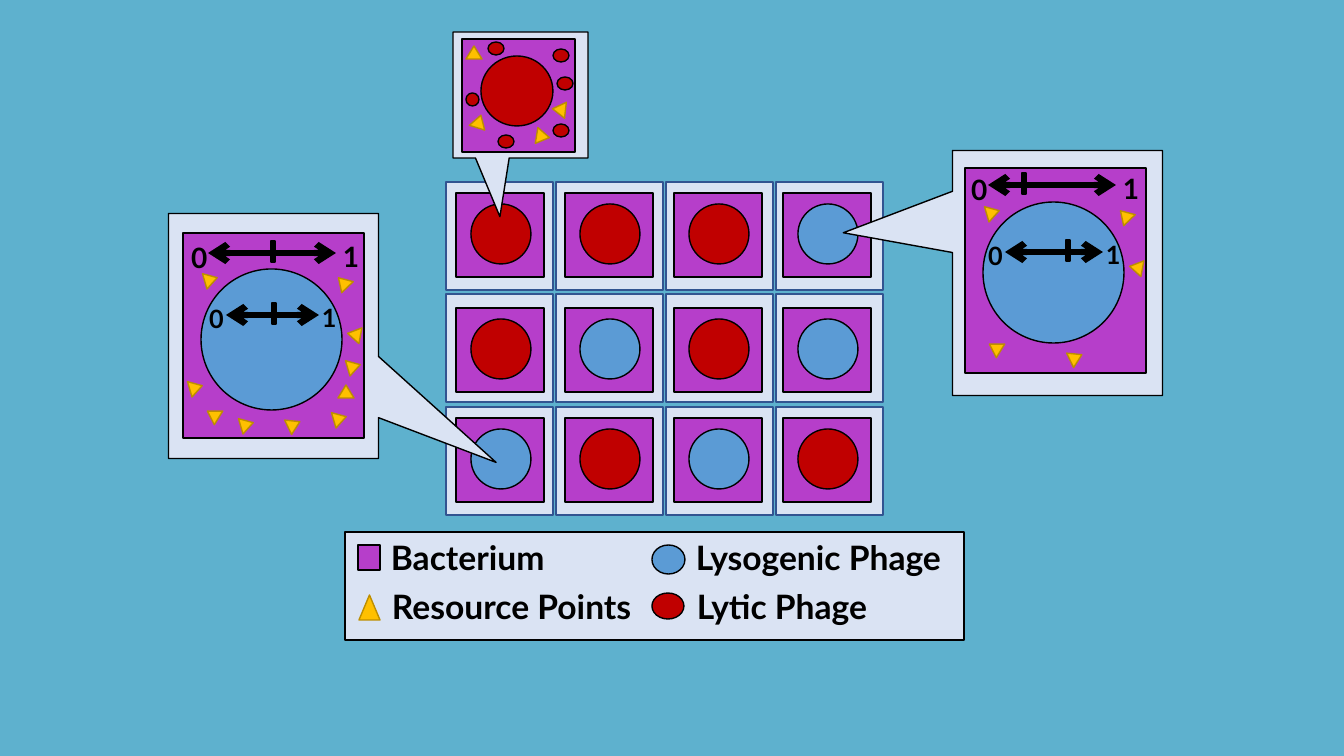
"""Build a slide of bacteria on a grid with lytic and lysogenic phages."""
from lxml import etree
from pptx import Presentation
from pptx.dml.color import RGBColor
from pptx.enum.shapes import MSO_CONNECTOR, MSO_SHAPE as Preset
from pptx.enum.text import MSO_AUTO_SIZE
from pptx.oxml.ns import qn
from pptx.util import Emu, Pt

SCALE = 12192000 / 1344
COLORS = {"background": "5EB1CE", "panel": "DAE3F3", "cell_edge": "325491",
          "bacterium": "B63ECA", "lysogenic": "5B9BD5", "lytic": "C00000",
          "resource": "FFC000", "resource_edge": "BD8E00", "ink": "000000"}
BOX, DISC = Preset.RECTANGLE, Preset.FLOWCHART_CONNECTOR
TRIANGLE, CALLOUT = Preset.ISOSCELES_TRIANGLE, Preset.RECTANGULAR_CALLOUT

deck = Presentation()
deck.slide_width, deck.slide_height = Emu(12192000), Emu(6858000)
slide = deck.slides.add_slide(deck.slide_layouts[6])
slide.background.fill.solid()
slide.background.fill.fore_color.rgb = RGBColor.from_string(COLORS["background"])


def add_part(preset, bounds, fill, edge="ink", rotation=0, pointer=()):
    part = slide.shapes.add_shape(preset, *(Emu(round(v * SCALE)) for v in bounds))
    part.shadow.inherit = False
    part.fill.solid()
    part.fill.fore_color.rgb = RGBColor.from_string(COLORS[fill])
    part.line.color.rgb = RGBColor.from_string(COLORS[edge])
    part.line.width = Pt(1)
    part.rotation = rotation
    for index, value in enumerate(pointer):
        part.adjustments[index] = value


def add_label(text, bounds, size):
    label = slide.shapes.add_textbox(*(Emu(round(v * SCALE)) for v in bounds))
    frame = label.text_frame
    frame.word_wrap = True
    frame.auto_size = MSO_AUTO_SIZE.SHAPE_TO_FIT_TEXT
    paragraph = frame.paragraphs[0]
    paragraph.text = text
    paragraph.font.name = "Lato"
    paragraph.font.size = Pt(size)
    paragraph.font.bold = True
    paragraph.font.color.rgb = RGBColor.from_string(COLORS["ink"])


phage_grid = [
    ["lytic", "lytic", "lytic", "lysogenic"],
    ["lytic", "lysogenic", "lytic", "lysogenic"],
    ["lysogenic", "lytic", "lysogenic", "lytic"],
]
bacterium_tops = [193, 308, 418]
for row, phages in enumerate(phage_grid):
    for column, phage in enumerate(phages):
        cell_left, cell_top = 446 + 110 * column, 182 + 225 * row // 2
        left, top = 456 + 109 * column, bacterium_tops[row]
        add_part(BOX, (cell_left, cell_top, 107, 108), "panel", "cell_edge")
        add_part(BOX, (left, top, 88, 84), "bacterium")
        add_part(DISC, (left + 15, top + 11, 60, 60), phage)

add_part(CALLOUT, (453, 32, 135, 126), "panel", pointer=(-0.152, 0.966))
add_part(BOX, (462, 39, 113, 113), "bacterium")
add_part(DISC, (481, 56, 72, 70), "lytic")
for left, top, width in [(488, 42, 16), (553, 49, 16), (553, 124, 16), (498, 135, 16),
                         (557, 77, 16), (466, 93, 13)]:
    add_part(DISC, (left, top, width, 13), "lytic")
for left, top, turn in [(466, 46, 0), (471, 115, 17.3), (535, 130, 99.3), (551, 103, 276.5)]:
    add_part(TRIANGLE, (left, top, 16, 13), "resource", "resource_edge", turn)

shared_resources = [(20, 38, 73.7), (152, 41, 316.3), (22, 173, 301.6),
                    (103, 183, 64.3), (163, 93, 280.7)]
extra_resources = [(155, 150, 0), (5, 146, 73.7), (56, 183, 73.7),
                   (149, 177, 73.7), (163, 125, 73.7)]
panels = [
    {"callout": (151, 231, 245, 210), "turn": 270, "pointer": (-0.516, 1.06),
     "origin": (183, 235), "bacterium_top": 233,
     "resources": shared_resources + extra_resources,
     "scales": [(208, 336, 253, 271, 20), (226, 319, 315, 272, 18)]},
    {"callout": (935, 168, 245, 210), "turn": 90, "pointer": (-0.164, 1.02),
     "origin": (965, 168), "bacterium_top": 168, "resources": shared_resources,
     "scales": [(988, 1116, 185, 1022, 20), (1005, 1103, 252, 1066, 18)]},
]
for panel in panels:
    left, top = panel["origin"]
    add_part(CALLOUT, panel["callout"], "panel", rotation=panel["turn"],
             pointer=panel["pointer"])
    add_part(BOX, (left, panel["bacterium_top"], 181, 205), "bacterium")
    add_part(DISC, (left + 18, top + 34, 141, 141), "lysogenic")
    for start, end, level, tick, size in panel["scales"]:
        ends = (Emu(round(v * SCALE)) for v in (start, level, end, level))
        arrow = slide.shapes.add_connector(MSO_CONNECTOR.STRAIGHT, *ends)
        arrow.line.color.rgb = RGBColor.from_string(COLORS["ink"])
        arrow.line.width = Pt(4.5)
        stroke = arrow.line._get_or_add_ln()
        for tip in ("a:headEnd", "a:tailEnd"):
            etree.SubElement(stroke, qn(tip), type="arrow")
        etree.SubElement(arrow._element.spPr, qn("a:effectLst"))
        add_part(BOX, (tick, level - 12, 4, 21), "ink")
        add_label("0", (start - 24, level - 17, 17, 2 * size + 4), size)
        add_label("1", (end - 25 + size + size // 20 * 2, level - 18, 24, 2 * size + 4), size)
    for across, down, turn in panel["resources"]:
        add_part(TRIANGLE, (left + across, top + down, 16, 13),
                 "resource", "resource_edge", turn)

add_part(BOX, (345, 532, 619, 108), "panel")
legend = [
    ("Bacterium", BOX, (358, 545, 22, 25), "bacterium", "ink", (381, 532, 200, 52)),
    ("Resource Points", TRIANGLE, (359, 595, 21, 25), "resource", "resource_edge",
     (382, 581, 271, 52)),
    ("Lysogenic Phage", DISC, (652, 545, 33, 29), "lysogenic", "ink", (686, 532, 327, 52)),
    ("Lytic Phage", DISC, (652, 593, 32, 26), "lytic", "ink", (687, 581, 327, 52)),
]
for name, preset, key_bounds, fill, edge, name_bounds in legend:
    add_part(preset, key_bounds, fill, edge)
    add_label(name, name_bounds, 24)

deck.save("out.pptx")
